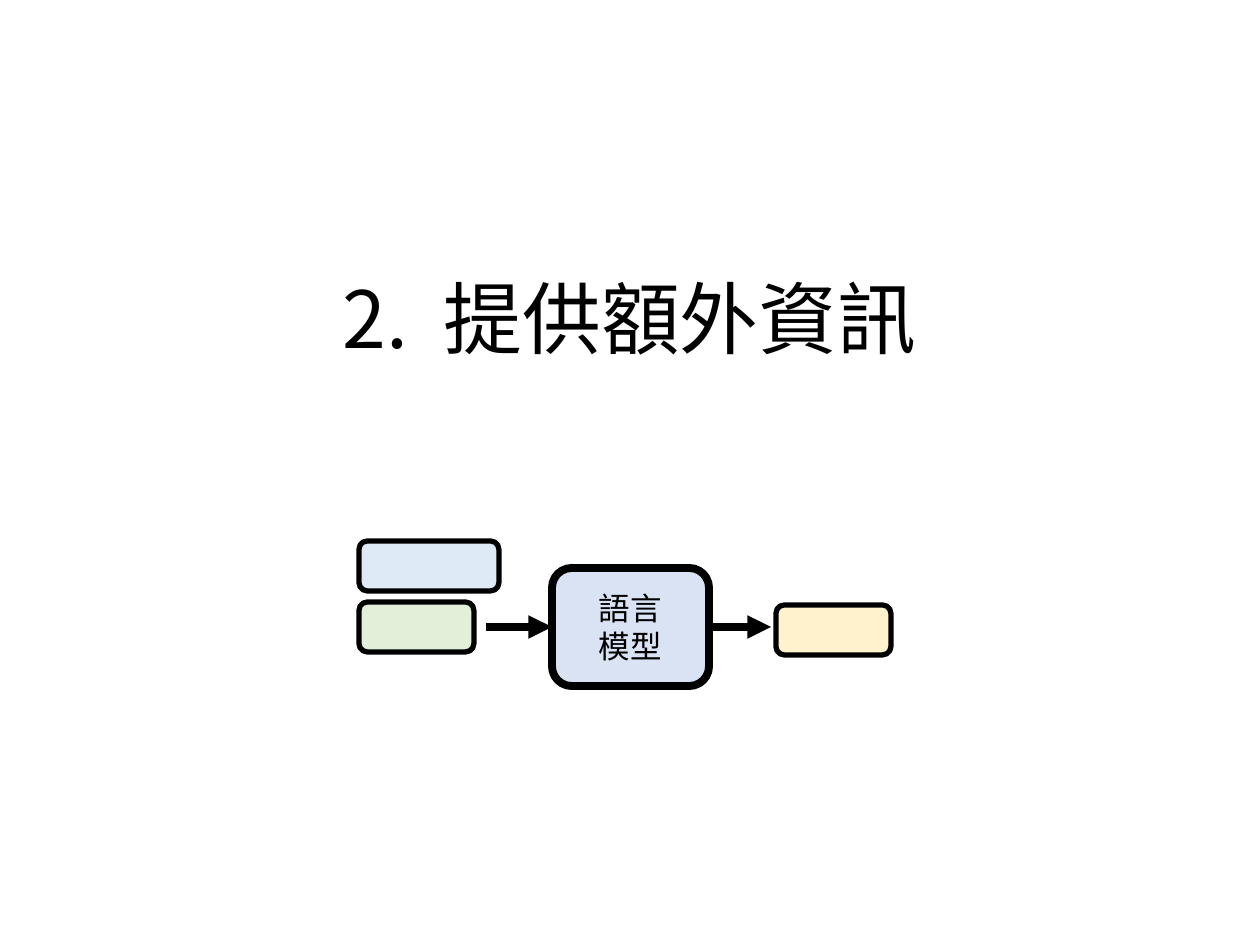
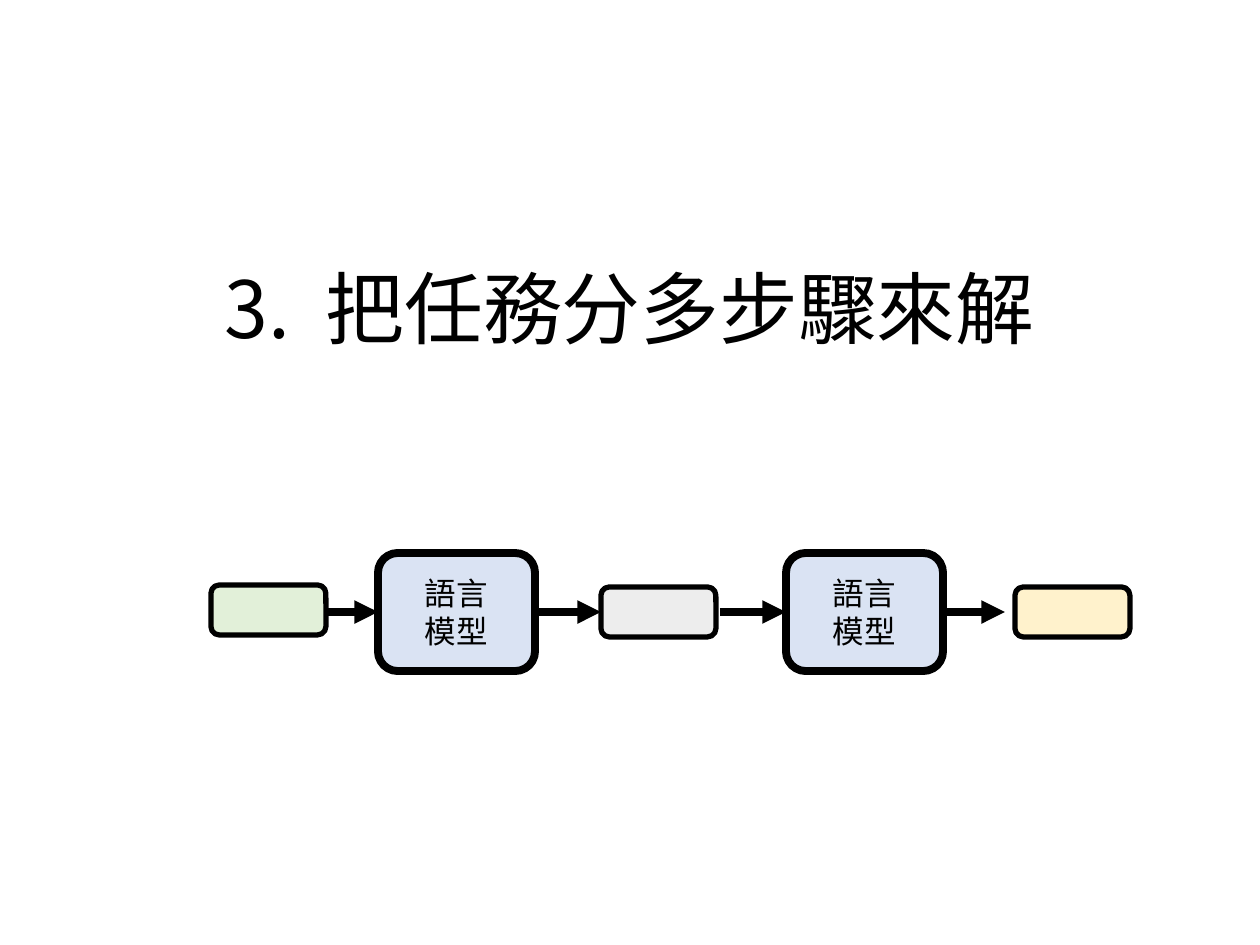
from lxml import etree
from pptx import Presentation
from pptx import util as u
from pptx.dml.color import RGBColor
from pptx.enum import shapes, text
from pptx.oxml import ns

SCALE = 914400 / 126
FONT = "Noto Sans CJK SC"
COLOURS = {
    "ink": "000000",
    "model": "DAE3F3",
    "input": "E2F0D9",
    "context": "DEEBF7",
    "middle": "EDEDED",
    "output": "FFF2CC",
}
TITLE = {"size": u.Pt(45), "name": FONT}
LABEL = {"size": u.Pt(18), "name": FONT}
THICK, THIN = 4.5, 3
MODEL_WIDTH, MODEL_HEIGHT = 157, 118
TOP, LEFT, RIGHT = 0, 1, 3


def px(length):
    """Turn a length in px into EMU."""
    return u.Emu(round(length * SCALE))


def colour(name):
    """Look up a named colour."""
    return RGBColor.from_string(COLOURS[name])


def add_span(para, words, style):
    """Add one run of text in the given style."""
    span = para.add_run()
    span.text = words
    for key, value in style.items():
        setattr(span.font, key, value)
    span.font.color.rgb = colour("ink")
    east_asian = etree.SubElement(span.font._element, ns.qn("a:ea"))
    east_asian.set("typeface", FONT)
    return span


def add_title(page, top, number, words):
    """Add a centred title whose number is set apart by a wide space."""
    box = page.shapes.add_textbox(px(157), px(top), px(945), px(329))
    frame = box.text_frame
    frame.word_wrap = True
    frame.vertical_anchor = text.MSO_ANCHOR.BOTTOM
    para = frame.paragraphs[0]
    para.alignment = text.PP_ALIGN.CENTER
    para.line_spacing = 0.9
    add_span(para, number, TITLE)
    gap = add_span(para, " ", TITLE)
    gap.font._element.set("spc", "1000")
    add_span(para, words, TITLE)


def add_box(page, left, top, fill, width=115, height=50, weight=THIN):
    """Add a rounded box with a black outline."""
    box = page.shapes.add_shape(
        shapes.MSO_SHAPE.ROUNDED_RECTANGLE, px(left), px(top), px(width), px(height)
    )
    box.shadow.inherit = False
    box.fill.solid()
    box.fill.fore_color.rgb = colour(fill)
    box.line.color.rgb = colour("ink")
    box.line.width = u.Pt(weight)
    return box


def add_arrow(page, start, end, middle):
    """Add a horizontal black arrow."""
    arrow = page.shapes.add_connector(
        shapes.MSO_CONNECTOR.STRAIGHT, px(start), px(middle), px(end), px(middle)
    )
    arrow.line.color.rgb = colour("ink")
    arrow.line.width = u.Pt(THICK)
    head = etree.SubElement(arrow.line._get_or_add_ln(), ns.qn("a:tailEnd"))
    head.set("type", "triangle")
    etree.SubElement(arrow._element.spPr, ns.qn("a:effectLst"))
    return arrow


def add_model(page, left, top, result=None):
    """Add a language model with its arrows, the second led to a result box if given."""
    box = add_box(page, left, top, "model", MODEL_WIDTH, MODEL_HEIGHT, THICK)
    frame = box.text_frame
    frame.vertical_anchor = text.MSO_ANCHOR.MIDDLE
    for index, words in enumerate(["語言", "模型"]):
        para = frame.add_paragraph() if index else frame.paragraphs[0]
        para.alignment = text.PP_ALIGN.CENTER
        add_span(para, words, LABEL)
    middle, right = top + MODEL_HEIGHT // 2, left + MODEL_WIDTH
    add_arrow(page, left - 66, left, middle).end_connect(box, LEFT)
    leaving = add_arrow(page, right, right + 62, middle)
    leaving.begin_connect(box, RIGHT)
    if result is not None:
        leaving.end_connect(result, LEFT)


def add_extra_information(page):
    """Fill the slide on giving the model extra information."""
    add_title(page, 43, "2.", "提供額外資訊")
    add_model(page, 552, 568)
    add_box(page, 776, 605, "output")
    add_box(page, 359, 602, "input")
    add_box(page, 359, 541, "context", width=140)


def add_several_steps(page):
    """Fill the slide on splitting a task into steps."""
    add_title(page, 33, "3.", "把任務分多步驟來解")
    middle_result = add_box(page, 601, 587, "middle")
    add_model(page, 378, 553, middle_result)
    add_model(page, 786, 553)
    add_box(page, 1015, 587, "output")
    add_box(page, 211, 585, "input")


def main():
    """Build and save the deck."""
    deck = Presentation()
    deck.slide_width, deck.slide_height = px(1260), px(945)
    for fill_page in (add_extra_information, add_several_steps):
        fill_page(deck.slides.add_slide(deck.slide_layouts[6]))
    deck.save("out.pptx")


if __name__ == "__main__":
    main()
